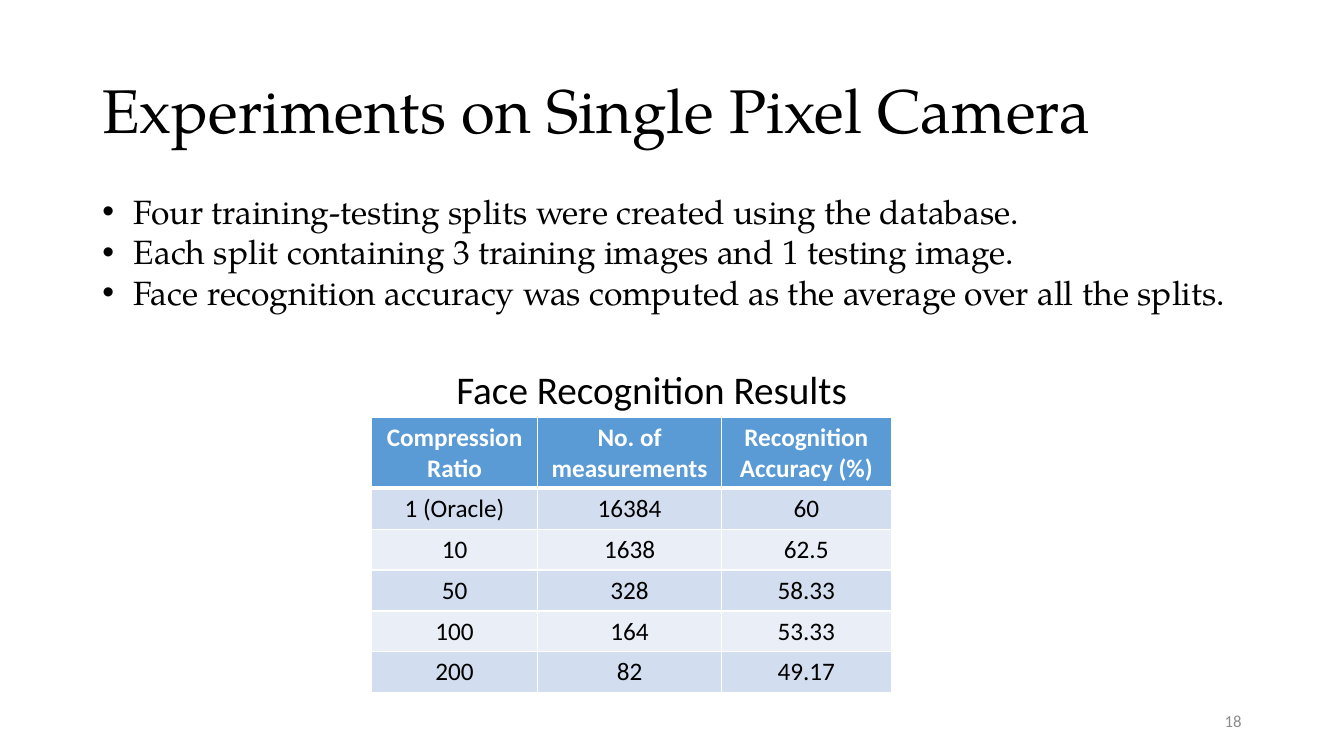
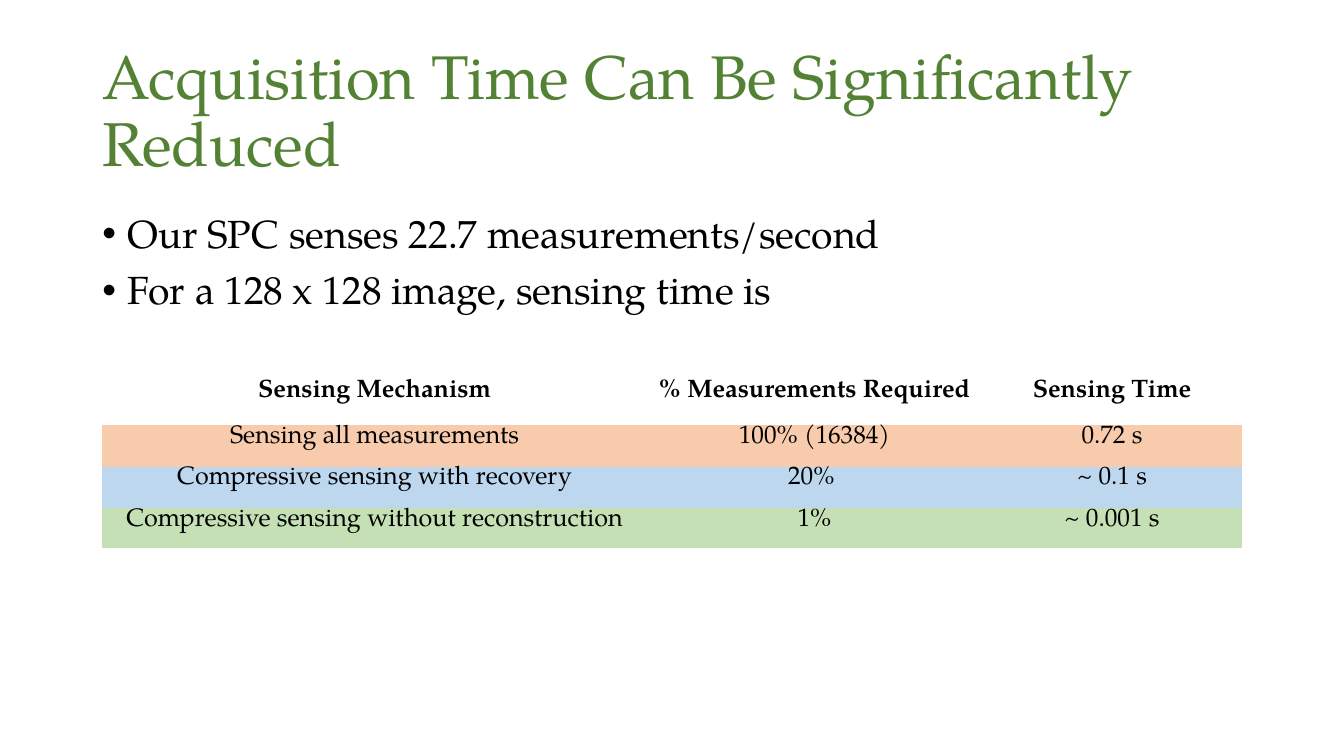
from lxml.etree import SubElement
from pptx import Presentation
from pptx.dml.color import RGBColor
from pptx.enum.text import MSO_ANCHOR as Anchor, PP_ALIGN as Align
from pptx.oxml.ns import qn
from pptx.util import Cm, Pt

SERIF = "TeX Gyre Pagella"
SANS = "Calibri"
BLACK = RGBColor(0x00, 0x00, 0x00)
WHITE = RGBColor(0xFF, 0xFF, 0xFF)
GREEN = RGBColor(0x54, 0x82, 0x35)
GRAY = RGBColor(0x8C, 0x8C, 0x8C)
HEADER_BLUE = RGBColor(0x5B, 0x9B, 0xD5)
BAND_DARK = RGBColor(0xD2, 0xDE, 0xEF)
BAND_LIGHT = RGBColor(0xEA, 0xEF, 0xF7)
PEACH = RGBColor(0xF8, 0xCB, 0xAD)
SKY = RGBColor(0xBD, 0xD7, 0xEE)
LEAF = RGBColor(0xC5, 0xE0, 0xB4)
PLAIN_TABLE = "{2D5ABB26-0587-4C30-8999-92F81FD0307C}"

LEFT, WIDTH = 2.33, 29.21
TITLE_BOX = (LEFT, 1.01, WIDTH, 3.68)
NUMBER_BOX = (23.92, 17.65, 7.62, 1.01)


def add_run(paragraph, text, size, font, color, bold=False):
    run = paragraph.add_run()
    run.text = text
    run.font.size = Pt(size)
    run.font.name = font
    run.font.color.rgb = color
    run.font.bold = bold


def add_frame(slide, box, anchor=Anchor.TOP, wrap=True):
    frame = slide.shapes.add_textbox(*map(Cm, box)).text_frame
    frame.word_wrap = wrap
    frame.vertical_anchor = anchor
    return frame


def add_title(slide, box, text, color):
    line = add_frame(slide, box, Anchor.MIDDLE).paragraphs[0]
    line.line_spacing = 0.9
    add_run(line, text, 44, SERIF, color)


def add_bullets(slide, box, lines, size, indent, spacing=1.0, before=0):
    frame = add_frame(slide, box)
    for index, text in enumerate(lines):
        line = frame.add_paragraph() if index else frame.paragraphs[0]
        line.line_spacing = spacing
        line.space_before = Pt(before)
        props = line._p.get_or_add_pPr()
        props.set("marL", str(Cm(indent)))
        props.set("indent", str(-Cm(indent)))
        SubElement(props, qn("a:buFont"), typeface="Arial")
        SubElement(props, qn("a:buChar"), char="•")
        add_run(line, text, size, SERIF, BLACK)


def add_caption(slide, box, text):
    caption = add_frame(slide, box, wrap=False).paragraphs[0]
    add_run(caption, text, 28, SANS, BLACK)


def add_page_number(slide, box, number):
    line = add_frame(slide, box, Anchor.MIDDLE).paragraphs[0]
    line.alignment = Align.RIGHT
    add_run(line, number, 12, SANS, GRAY)


def set_borders(cell, top, bottom):
    props = cell._tc.get_or_add_tcPr()
    widths = {"a:lnL": 1, "a:lnR": 1, "a:lnT": top, "a:lnB": bottom}
    for position, (tag, width) in enumerate(widths.items()):
        border = SubElement(props, qn(tag), w=str(Pt(width)))
        fill = SubElement(border, qn("a:solidFill"))
        SubElement(fill, qn("a:srgbClr"), val=str(WHITE))
        props.insert(position, border)


def add_grid(slide, corner, widths, heights, rows, fills, font,
             header_color=BLACK, bordered=False, pad=0.0):
    box = (*corner, sum(widths), sum(heights))
    grid = slide.shapes.add_table(len(rows), len(widths), *map(Cm, box)).table
    grid._tbl.tblPr.find(qn("a:tableStyleId")).text = PLAIN_TABLE
    for column, width in zip(grid.columns, widths):
        column.width = Cm(width)
    for r, (values, fill, height) in enumerate(zip(rows, fills, heights)):
        grid.rows[r].height = Cm(height)
        for c, text in enumerate(values):
            cell = grid.cell(r, c)
            cell.margin_top = cell.margin_bottom = Cm(pad)
            cell.fill.solid()
            cell.fill.fore_color.rgb = fill
            if bordered:
                set_borders(cell, 3 if r == 1 else 1, 3 if r == 0 else 1)
            line = cell.text_frame.paragraphs[0]
            line.alignment = Align.CENTER
            add_run(line, text, 18, font, BLACK if r else header_color, r == 0)


def build_experiments(slide):
    add_title(slide, TITLE_BOX, "Experiments on Single Pixel Camera", BLACK)
    add_bullets(slide, (LEFT, 4.69, WIDTH, 3.33), [
        "Four training-testing splits were created using the database.",
        "Each split containing 3 training images and 1 testing image.",
        "Face recognition accuracy was computed as the average over all the splits.",
    ], size=24, indent=0.79)
    add_caption(slide, (11.25, 9.07, 10.46, 1.45), "Face Recognition Results")
    results = [
        ("Compression Ratio", "No. of measurements", "Recognition Accuracy (%)"),
        ("1 (Oracle)", "16384", "60"),
        ("10", "1638", "62.5"),
        ("50", "328", "58.33"),
        ("100", "164", "53.33"),
        ("200", "82", "49.17"),
    ]
    bands = [BAND_LIGHT if r % 2 == 0 else BAND_DARK for r in range(1, len(results))]
    add_grid(slide, (9.36, 10.52), [4.19, 4.63, 4.28], [1.78] + [1.03] * len(bands),
             results, [HEADER_BLUE] + bands, SANS, WHITE, bordered=True, pad=0.13)
    add_page_number(slide, NUMBER_BOX, "18")


def build_acquisition(slide):
    add_title(slide, TITLE_BOX, "Acquisition Time Can Be Significantly Reduced", GREEN)
    add_bullets(slide, (LEFT, 5.28, WIDTH, 12.09), [
        "Our SPC senses 22.7 measurements/second",
        "For a 128 x 128 image, sensing time is",
    ], size=28, indent=0.64, spacing=0.9, before=10)
    timings = [
        ("Sensing Mechanism", "% Measurements Required", "Sensing Time"),
        ("Sensing all measurements", "100% (16384)", "0.72 s"),
        ("Compressive sensing with recovery", "20% ", "~ 0.1 s"),
        ("Compressive sensing without reconstruction", "1%", "~ 0.001 s"),
    ]
    add_grid(slide, (2.57, 9.55), [13.74, 8.43, 6.57], [1.17, 1.04, 1.04, 1.0],
             timings, [WHITE, PEACH, SKY, LEAF], SERIF)


def main():
    deck = Presentation()
    deck.slide_width, deck.slide_height = Cm(33.87), Cm(19.05)
    for build in (build_experiments, build_acquisition):
        build(deck.slides.add_slide(deck.slide_layouts[6]))
    deck.save("out.pptx")


if __name__ == "__main__":
    main()
